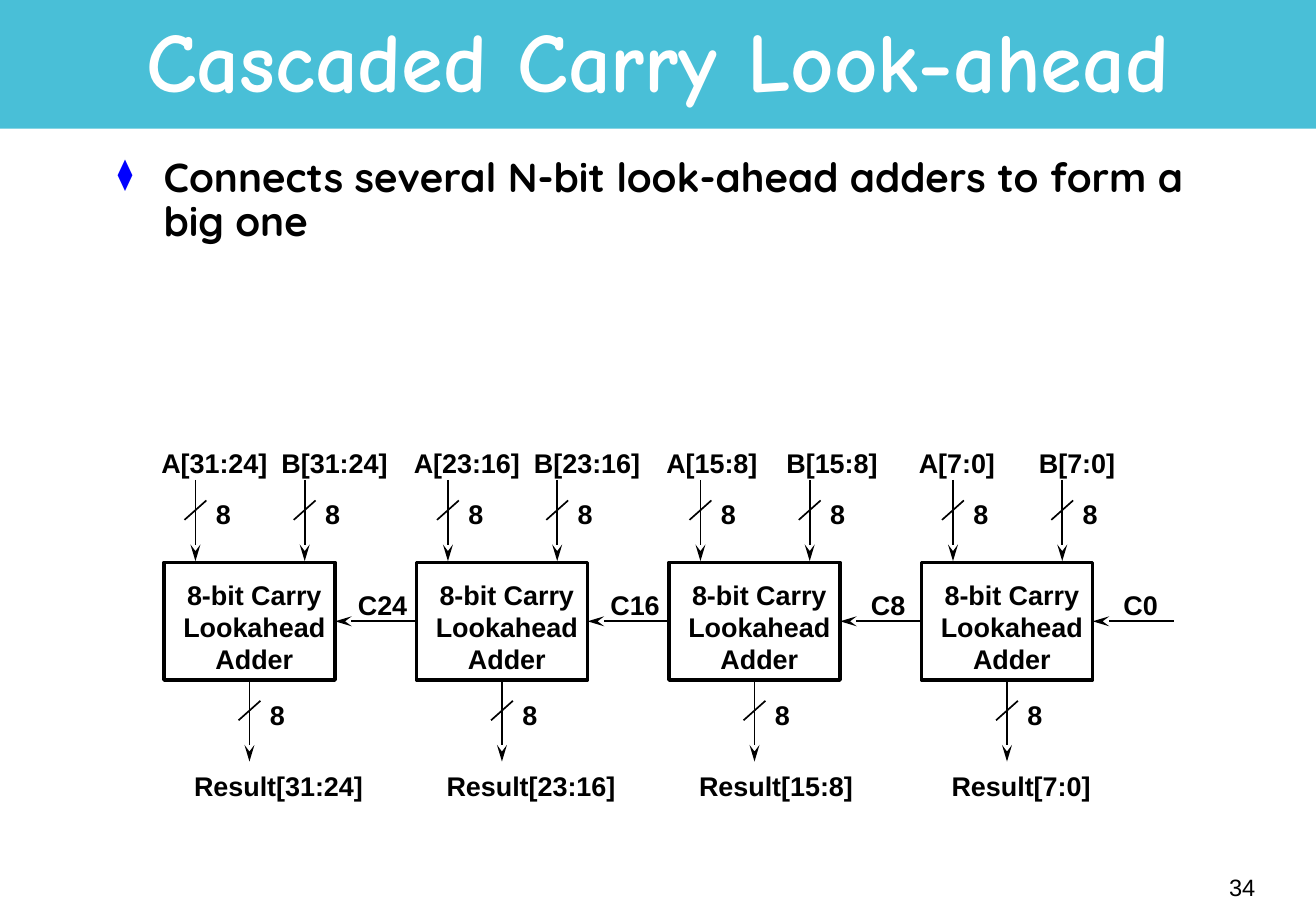
from lxml import etree
from pptx import Presentation
from pptx.dml.color import RGBColor
from pptx.enum.shapes import MSO_CONNECTOR, MSO_SHAPE
from pptx.enum.text import MSO_ANCHOR, PP_ALIGN
from pptx.oxml.ns import qn
from pptx.util import Inches, Pt

RECTANGLE, STRAIGHT = MSO_SHAPE.RECTANGLE, MSO_CONNECTOR.STRAIGHT
LEFT, CENTER, RIGHT = PP_ALIGN.LEFT, PP_ALIGN.CENTER, PP_ALIGN.RIGHT
TOP, MIDDLE = MSO_ANCHOR.TOP, MSO_ANCHOR.MIDDLE
BLACK = RGBColor(0x00, 0x00, 0x00)
WHITE = RGBColor(0xFF, 0xFF, 0xFF)
TEAL = RGBColor(0x49, 0xBF, 0xD7)
BLUE = RGBColor(0x00, 0x00, 0xFF)

# Content
TITLE = "Cascaded Carry Look-ahead"
POINT = "Connects several N-bit look-ahead adders to form a big one"
PAGE_NUMBER = "34"
ADDER_LINES = ["8-bit Carry", "Lookahead", "Adder"]
BUS_WIDTH = "8"
# (bit range, carry in), from left to right
STAGES = [("31:24", "C24"), ("23:16", "C16"), ("15:8", "C8"), ("7:0", "C0")]

# Grid, in inches
PAGE_W, PAGE_H = 10.84, 7.5
FIRST_LEFT, PITCH = 1.35, 2.08
ADDER_TOP, ADDER_W, ADDER_H = 4.63, 1.41, 0.97
ADDER_MIDDLE = ADDER_TOP + ADDER_H / 2
WIRE_LENGTH, INPUT_TOP = 0.67, 3.95
# name, offsets of wire and label from the adder's left
INPUTS = [("A", 0.26, -0.12), ("B", 1.16, 0.87)]
LABEL_H, CHAR_W = 0.37, 0.13

deck = Presentation()
deck.slide_width, deck.slide_height = Inches(PAGE_W), Inches(PAGE_H)
page = deck.slides.add_slide(deck.slide_layouts[6])


def write(box, lines, size=16, font="Arial", color=BLACK, bold=True, align=LEFT,
          anchor=TOP, spacing=None, bullet=None, wrap=True):
    frame = box.text_frame
    frame.word_wrap = wrap
    frame.vertical_anchor = anchor
    for index, line in enumerate(lines):
        para = frame.add_paragraph() if index else frame.paragraphs[0]
        para.alignment = align
        if spacing:
            para.line_spacing = spacing
        if bullet:
            add_bullet(para, bullet)
        span = para.add_run()
        span.text = line
        span.font.size, span.font.name, span.font.bold = Pt(size), font, bold
        span.font.color.rgb = color


def add_bullet(para, symbol):
    props = para._p.get_or_add_pPr()
    props.set("marL", str(Inches(0.38)))
    props.set("indent", str(-Inches(0.38)))
    color = etree.SubElement(props, qn("a:buClr"))
    etree.SubElement(color, qn("a:srgbClr"), val=str(BLUE))
    etree.SubElement(props, qn("a:buSzPct"), val="75000")
    etree.SubElement(props, qn("a:buChar"), char=symbol)


def add_text(left, top, width, height, lines, **text_format):
    box = page.shapes.add_textbox(*map(Inches, (left, top, width, height)))
    write(box, lines, **text_format)
    return box


def add_label(left, top, width, text):
    box = add_text(left, top, width, LABEL_H, [text], wrap=False)
    box.text_frame.margin_right = 0  # spare room, so the text stays on one line


def add_rectangle(left, top, width, height):
    box = page.shapes.add_shape(RECTANGLE, *map(Inches, (left, top, width, height)))
    box.shadow.inherit = False
    return box


def add_line(x1, y1, x2, y2, arrow=False):
    line = page.shapes.add_connector(STRAIGHT, *map(Inches, (x1, y1, x2, y2)))
    line.line.color.rgb, line.line.width = BLACK, Pt(1)
    if arrow:
        etree.SubElement(line.line._get_or_add_ln(), qn("a:tailEnd"),
                         type="stealth", w="med", len="lg")
    etree.SubElement(line._element.spPr, qn("a:effectLst"))
    return line


def add_bus(x, top):
    """Downward arrow with a slash and its width in bits."""
    arrow = add_line(x, top, x, top + WIRE_LENGTH, arrow=True)
    add_line(x - 0.09, top + 0.33, x + 0.09, top + 0.17)
    add_label(x + 0.07, top + 0.1, 0.33, BUS_WIDTH)
    return arrow


def add_adder(left):
    box = add_rectangle(left, ADDER_TOP, ADDER_W, ADDER_H)
    box.fill.background()
    box.line.color.rgb, box.line.width = BLACK, Pt(2)
    write(box, ADDER_LINES, align=CENTER)
    frame = box.text_frame
    frame.margin_left, frame.margin_right = Inches(0.08), 0
    frame.margin_top, frame.margin_bottom = Inches(0.13), 0
    return box


# Title band, bullet point and page number
band = add_rectangle(0, 0, PAGE_W, 1.06)
band.fill.solid()
band.fill.fore_color.rgb = TEAL
band.line.fill.background()
add_text(0, 0.05, PAGE_W, 0.99, [TITLE], size=50, font="Comic Neue", color=WHITE,
         align=CENTER, anchor=MIDDLE, spacing=0.85)
add_text(0.87, 1.25, 9.21, 5.56, [POINT], size=24, font="Quicksand",
         spacing=0.9, bullet="⧫")
add_text(8.18, 7.1, 2.26, 0.4, [PAGE_NUMBER], size=14, bold=False,
         align=RIGHT, anchor=MIDDLE)

# Adders with their inputs and results
lefts = [FIRST_LEFT + PITCH * column for column in range(len(STAGES))]
adders = [add_adder(left) for left in lefts]
for left, adder, (bits, carry) in zip(lefts, adders, STAGES):
    extra = CHAR_W * (len(bits) - 3)
    for name, wire, label in INPUTS:
        add_bus(left + wire, INPUT_TOP)
        add_label(left + label, 3.63, 0.83 + extra, f"{name}[{bits}]")
    result = add_bus(left + ADDER_W / 2, ADDER_TOP + ADDER_H)
    result.begin_connect(adder, 2)
    add_label(left + 0.15, 6.29, 1.35 + extra, f"Result[{bits}]")
    carry_w = 0.25 + CHAR_W * len(carry)
    add_label(left + 1.82 - carry_w / 2, 4.8, carry_w, carry)

# Carry chain, from each adder to the one on its left
for index, adder in enumerate(adders):
    right = lefts[index] + ADDER_W
    chain = add_line(lefts[index] + PITCH, ADDER_MIDDLE, right, ADDER_MIDDLE, arrow=True)
    chain.end_connect(adder, 3)
    if index + 1 < len(adders):
        chain.begin_connect(adders[index + 1], 1)

deck.save("out.pptx")
